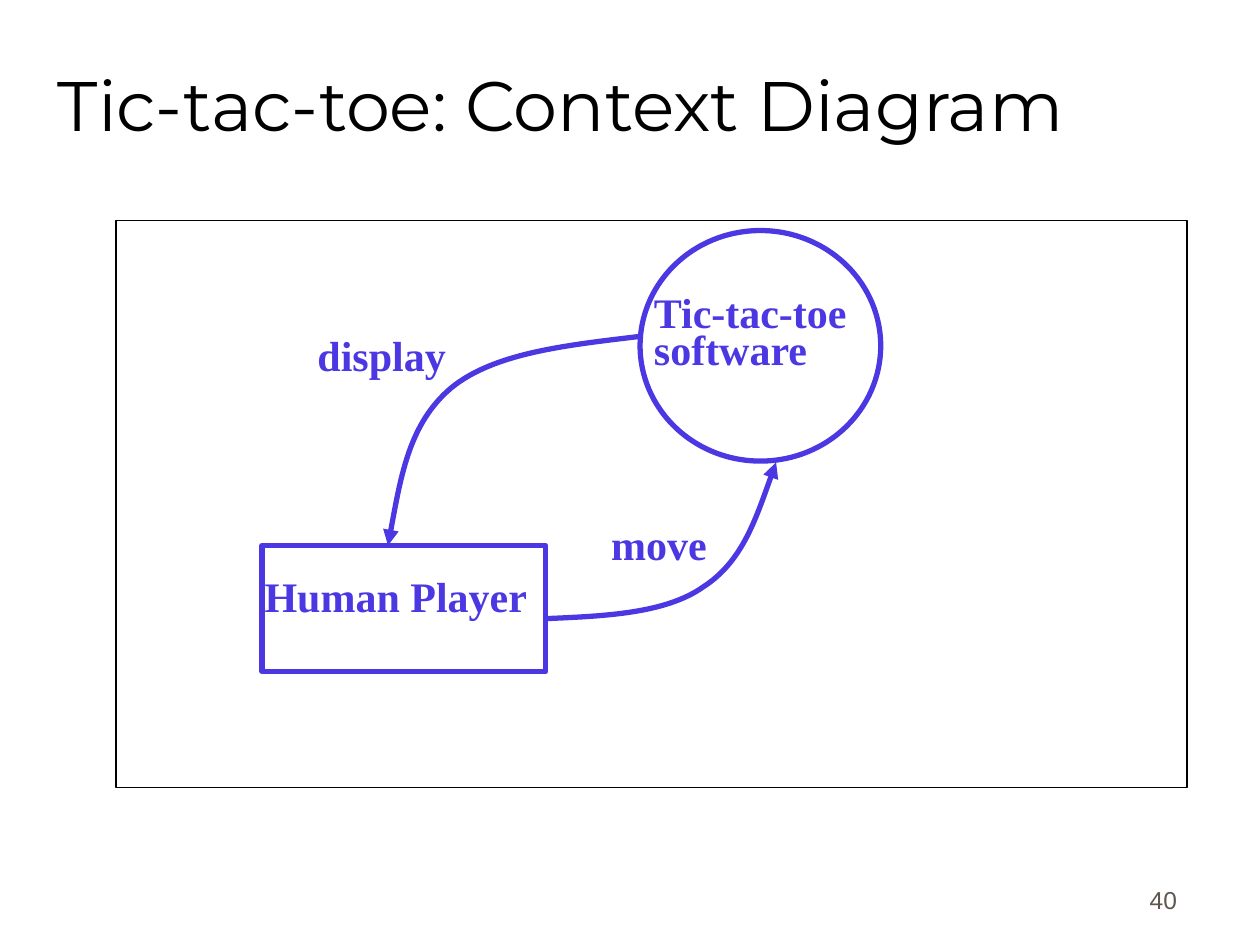
import pptx
import pptx.dml.color
import pptx.enum.shapes
import pptx.enum.text
import pptx.oxml
import pptx.oxml.ns
import pptx.util

Inches = pptx.util.Inches
Pt = pptx.util.Pt
SHAPE = pptx.enum.shapes.MSO_SHAPE
ANCHOR = pptx.enum.text.MSO_ANCHOR
ALIGN = pptx.enum.text.PP_ALIGN
INK = "4C38E2"
LABEL = {"name": "Times New Roman", "size": Pt(24), "bold": True}
LABEL_PARA = {"line_spacing": 0.72, "space_before": Pt(13.6)}


def rgb(value):
    """Turn a hex string into a colour."""
    return pptx.dml.color.RGBColor.from_string(value)


def set_all(obj, values):
    """Set each attribute in a dict of format values."""
    for name, value in values.items():
        setattr(obj, name, value)


def add_text(slide, box, text, font, color, para, anchor=ANCHOR.TOP, side=0.02):
    """Place one paragraph of text in a box."""
    sp = slide.shapes.add_textbox(*map(Inches, box))
    tf = sp.text_frame
    set_all(tf, {"word_wrap": True, "vertical_anchor": anchor,
                 "margin_left": Inches(side), "margin_right": Inches(side),
                 "margin_top": Inches(0.05), "margin_bottom": Inches(0.05)})
    p = tf.paragraphs[0]
    set_all(p, para)
    r = p.add_run()
    r.text = text
    set_all(r.font, font)
    r.font.color.rgb = rgb(color)


def outline(sp, color, width):
    """Leave a shape unfilled and draw its outline."""
    sp.shadow.inherit = False
    sp.fill.background()
    sp.line.color.rgb = rgb(color)
    sp.line.width = Pt(width)


def add_outline(slide, kind, box, color=INK, width=3, radius=None):
    """Place an unfilled preset shape in a box."""
    sp = slide.shapes.add_shape(kind, *map(Inches, box))
    if radius is not None:
        sp.adjustments[0] = radius
    outline(sp, color, width)


def add_flow(slide, origin, points):
    """Draw a curved arrow through Bezier points given relative to origin."""
    start, *rest = [(Inches(origin[0] + x), Inches(origin[1] + y)) for x, y in points]
    builder = slide.shapes.build_freeform(*start)
    builder.add_line_segments(rest, close=False)
    sp = builder.convert_to_shape()
    outline(sp, INK, 3)
    qn = pptx.oxml.ns.qn
    path = next(sp.element.iter(qn("a:path")))
    lines = path.findall(qn("a:lnTo"))
    for i in range(0, len(lines), 3):
        curve = path.makeelement(qn("a:cubicBezTo"), {})
        path.append(curve)
        for line in lines[i:i + 3]:
            curve.append(line[0])
            path.remove(line)
    ln = sp.line._get_or_add_ln()
    ln.append(pptx.oxml.parse_xml(
        '<a:tailEnd xmlns:a="http://schemas.openxmlformats.org/drawingml/2006/main" '
        'type="triangle"/>'))


def add_diagram(slide, x, y, w, h):
    """Draw the framed context diagram with its top left corner at x, y."""
    add_outline(slide, SHAPE.ROUNDED_RECTANGLE, (x, y, w, h), "000000", 0.74, 0)
    add_outline(slide, SHAPE.OVAL, (x + 4.16, y + 0.08, 1.91, 1.83))
    add_outline(slide, SHAPE.ROUNDED_RECTANGLE, (x + 1.16, y + 2.58, 2.25, 1), radius=0)
    add_flow(slide, (x, y), [(4.16, 0.92), (3.58, 0.99), (3, 1.05), (2.66, 1.33),
                             (2.33, 1.61), (2.25, 2.09), (2.16, 2.58)])
    add_flow(slide, (x, y), [(3.41, 3.16), (3.88, 3.14), (4.36, 3.12), (4.66, 2.91),
                             (4.97, 2.71), (5.1, 2.31), (5.24, 1.92)])
    for text, dx, dy, tw, th in [("Human Player", 1.16, 2.83, 2.33, 0.5),
                                 ("Tic-tac-toe software", 4.25, 0.58, 1.83, 0.9),
                                 ("display", 1.58, 0.92, 1.5, 0.5),
                                 ("move", 3.91, 2.42, 1.75, 0.5)]:
        add_text(slide, (x + dx, y + dy, tw, th), text, LABEL, INK, LABEL_PARA)


def build():
    """Build and save the slide."""
    prs = pptx.Presentation()
    prs.slide_width, prs.slide_height = Inches(10), Inches(7.5)
    slide = prs.slides.add_slide(prs.slide_layouts[6])
    add_text(slide, (0.44, 0.2, 8.5, 1.25), "Tic-tac-toe: Context Diagram",
             {"name": "Montserrat", "size": Pt(40)}, "000000",
             {"space_before": Pt(9.9)}, ANCHOR.MIDDLE)
    add_diagram(slide, 0.92, 1.75, 8.5, 4.5)
    add_text(slide, (7.36, 6.81, 2.08, 0.5), "40",
             {"name": "Arial", "size": Pt(14)}, "5E574E",
             {"alignment": ALIGN.RIGHT, "space_before": Pt(8.8)}, ANCHOR.BOTTOM, 0.1)
    prs.save("out.pptx")


build()
